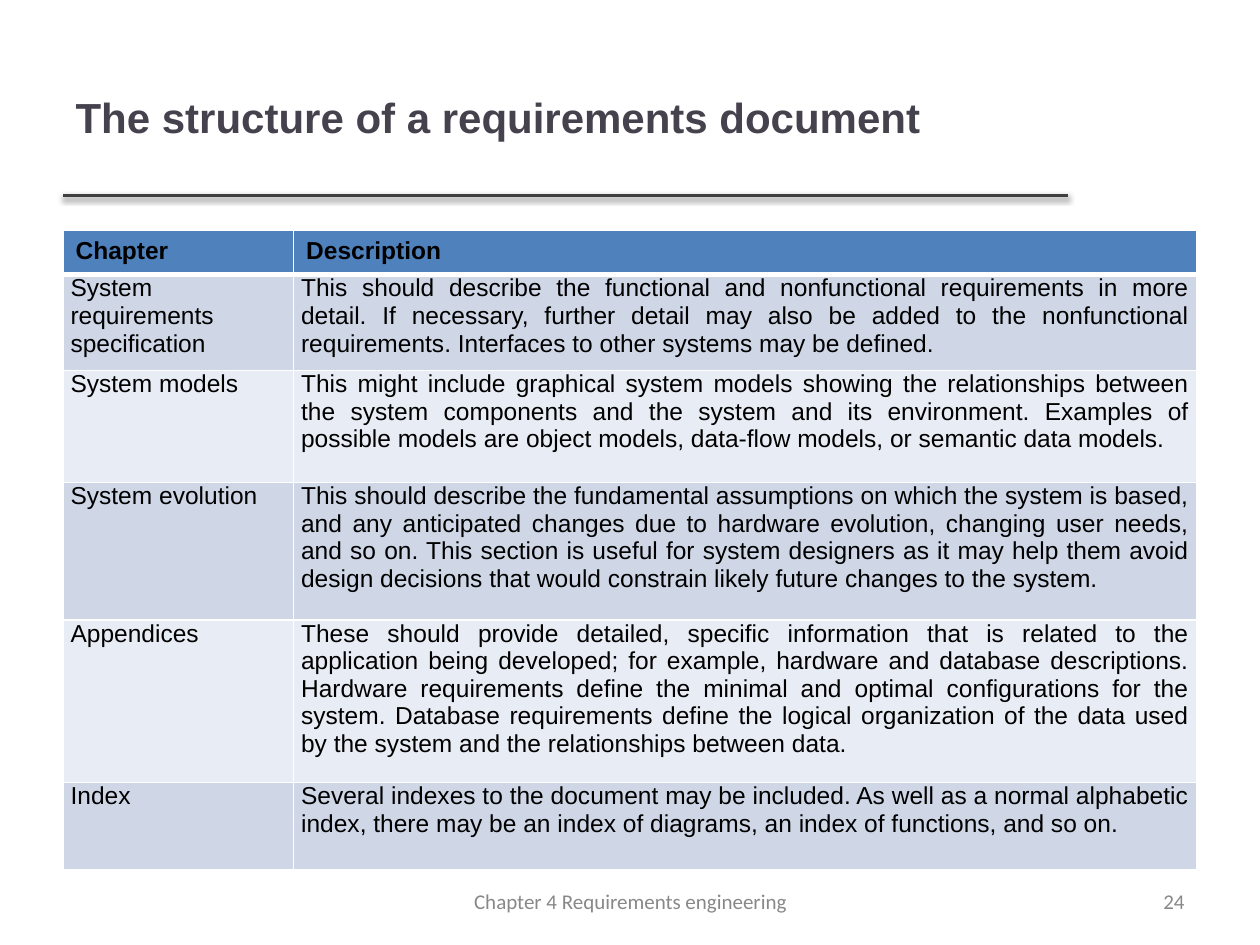
from dataclasses import dataclass

from lxml.etree import SubElement as Sub
from pptx import Presentation
from pptx.dml.color import RGBColor as Rgb
from pptx.enum.shapes import MSO_CONNECTOR as Link
from pptx.enum.text import MSO_ANCHOR as Anchor, PP_ALIGN as Align
from pptx.oxml.ns import qn
from pptx.util import Inches, Pt


@dataclass(frozen=True)
class Theme:
    """Colours, fonts and type sizes of the slide."""
    title: str = "46424D"
    rule: str = "3F3F3F"
    ink: str = "000000"
    muted: str = "888888"
    head: str = "4F81BD"
    bands: tuple = ("CFD7E7", "E8ECF4")
    edge: str = "FFFFFF"
    sans: str = "Arial"
    small: str = "Calibri"
    big: int = 24
    body: int = 14
    foot: int = 12


THEME = Theme()
WIDTHS = (1.83, 7.17)
HEIGHTS = (0.35, 0.76, 0.89, 1.09, 1.29, 0.69)
ROWS = (
    ("Chapter", "Description"),
    ("System requirements specification",
     "This should describe the functional and nonfunctional requirements in "
     "more detail. If necessary, further detail may also be added to the "
     "nonfunctional requirements. Interfaces to other systems may be defined."),
    ("System models",
     "This might include graphical system models showing the relationships "
     "between the system components and the system and its environment. "
     "Examples of possible models are object models, data-flow models, or "
     "semantic data models."),
    ("System evolution",
     "This should describe the fundamental assumptions on which the system is "
     "based, and any anticipated changes due to hardware evolution, changing "
     "user needs, and so on. This section is useful for system designers as "
     "it may help them avoid design decisions that would constrain likely "
     "future changes to the system."),
    ("Appendices",
     "These should provide detailed, specific information that is related to "
     "the application being developed; for example, hardware and database "
     "descriptions. Hardware requirements define the minimal and optimal "
     "configurations for the system. Database requirements define the logical "
     "organization of the data used by the system and the relationships "
     "between data."),
    ("Index",
     "Several indexes to the document may be included. As well as a normal "
     "alphabetic index, there may be an index of diagrams, an index of "
     "functions, and so on."),
)


def apply(item, values):
    """Set each attribute of item named in values."""
    for name, value in values.items():
        setattr(item, name, value)


def place(item, box):
    """Move item to a box given in inches."""
    names = ("left", "top", "width", "height")
    apply(item, dict(zip(names, map(Inches, box))))


def write(frame, text, font, size, color, bold=False, align=Align.LEFT):
    """Write one formatted paragraph into a text frame."""
    par = frame.paragraphs[0]
    par.alignment = align
    run = par.add_run()
    run.text = text
    apply(run.font, {"name": font, "size": Pt(size), "bold": bold})
    run.font.color.rgb = Rgb.from_string(color)


def add_title(slide, box, text):
    """Place the title in its placeholder with a shadowed rule below."""
    title = slide.shapes.title
    place(title, box)
    title.text_frame.vertical_anchor = Anchor.MIDDLE
    write(title.text_frame, text, THEME.sans, THEME.big, THEME.title, True)
    left, top, width, height = box
    base = Inches(top + height)
    rule = slide.shapes.add_connector(
        Link.STRAIGHT, Inches(left), base, Inches(left + width), base)
    rule.line.width = Pt(2)
    rule.line.color.rgb = Rgb.from_string(THEME.rule)
    props = rule.line._get_or_add_ln().getparent()
    shade = Sub(Sub(props, qn("a:effectLst")), qn("a:outerShdw"),
                blurRad=str(Pt(3.1)), dist=str(Pt(1.6)), dir="5400000",
                rotWithShape="0")
    color = Sub(shade, qn("a:srgbClr"), val=THEME.ink)
    Sub(color, qn("a:alpha"), val="38000")


def add_edges(cell, base):
    """Draw the four cell borders, the lower one base points wide."""
    props = cell._tc.get_or_add_tcPr()
    for side, width in zip("LRTB", (1, 1, 1, base)):
        line = Sub(props, qn(f"a:ln{side}"), w=str(Pt(width)))
        Sub(Sub(line, qn("a:solidFill")), qn("a:srgbClr"), val=THEME.edge)


def fill_cell(cell, text, row):
    """Format one cell as header or banded body text."""
    head = row == 0
    add_edges(cell, 3 if head else 1)
    cell.fill.solid()
    tint = THEME.head if head else THEME.bands[(row - 1) % 2]
    cell.fill.fore_color.rgb = Rgb.from_string(tint)
    side, top, base = (0.1, 0.05, 0.05) if head else (0.06, 0, 0.1)
    apply(cell, {"margin_left": Inches(side), "margin_right": Inches(side),
                 "margin_top": Inches(top), "margin_bottom": Inches(base),
                 "vertical_anchor": Anchor.TOP})
    write(cell.text_frame, text, THEME.sans, THEME.body, THEME.ink, head,
          Align.LEFT if head else Align.JUSTIFY)


def add_grid(slide, box):
    """Place the table of chapters in box."""
    grid = slide.shapes.add_table(
        len(ROWS), len(WIDTHS), *map(Inches, box)).table
    for col, width in zip(grid.columns, WIDTHS):
        col.width = Inches(width)
    for row, height in zip(grid.rows, HEIGHTS):
        row.height = Inches(height)
    for r, texts in enumerate(ROWS):
        for c, text in enumerate(texts):
            fill_cell(grid.cell(r, c), text, r)


def add_foot(slide, box, text, align):
    """Place one piece of footer text in box."""
    frame = slide.shapes.add_textbox(*map(Inches, box)).text_frame
    apply(frame, {"word_wrap": True, "vertical_anchor": Anchor.MIDDLE})
    write(frame, text, THEME.small, THEME.foot, THEME.muted, align=align)


def main():
    """Build and save the slide."""
    deck = Presentation()
    apply(deck, {"slide_width": Inches(10), "slide_height": Inches(7.5)})
    slide = deck.slides.add_slide(deck.slide_layouts[5])
    add_title(slide, (0.5, 0.3, 7.98, 1.25),
              "The structure of a requirements document")
    add_grid(slide, (0.5, 1.83, sum(WIDTHS), sum(HEIGHTS)))
    add_foot(slide, (7.17, 6.95, 2.33, 0.4), "24", Align.RIGHT)
    add_foot(slide, (3.42, 6.95, 3.17, 0.4),
             "Chapter 4 Requirements engineering", Align.CENTER)
    deck.save("out.pptx")


if __name__ == "__main__":
    main()
